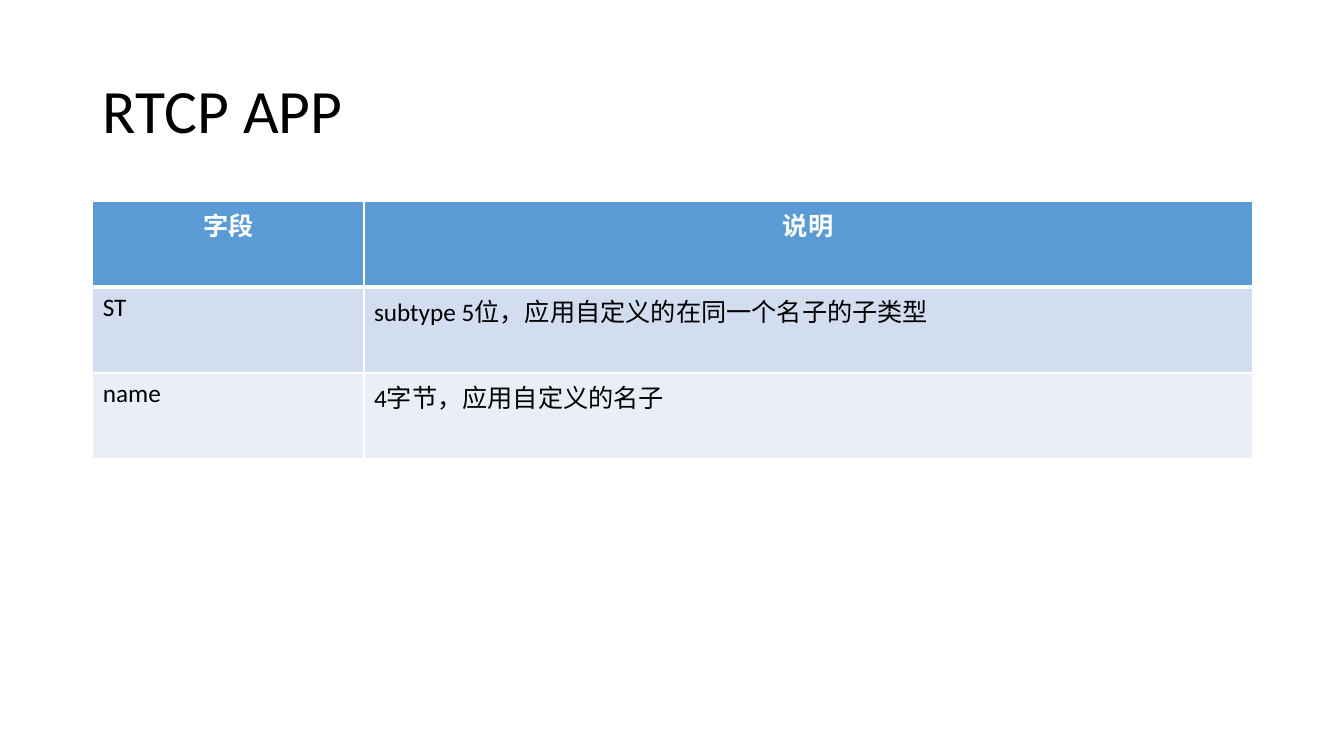
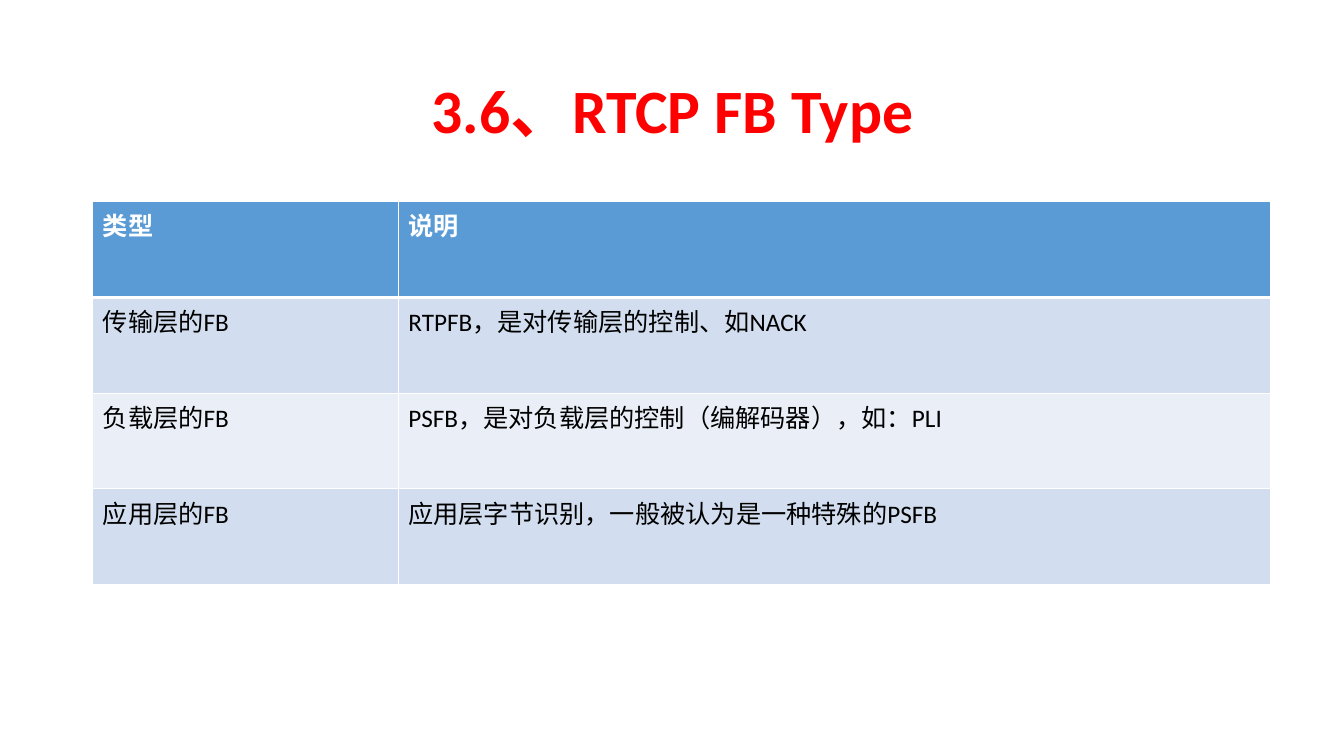
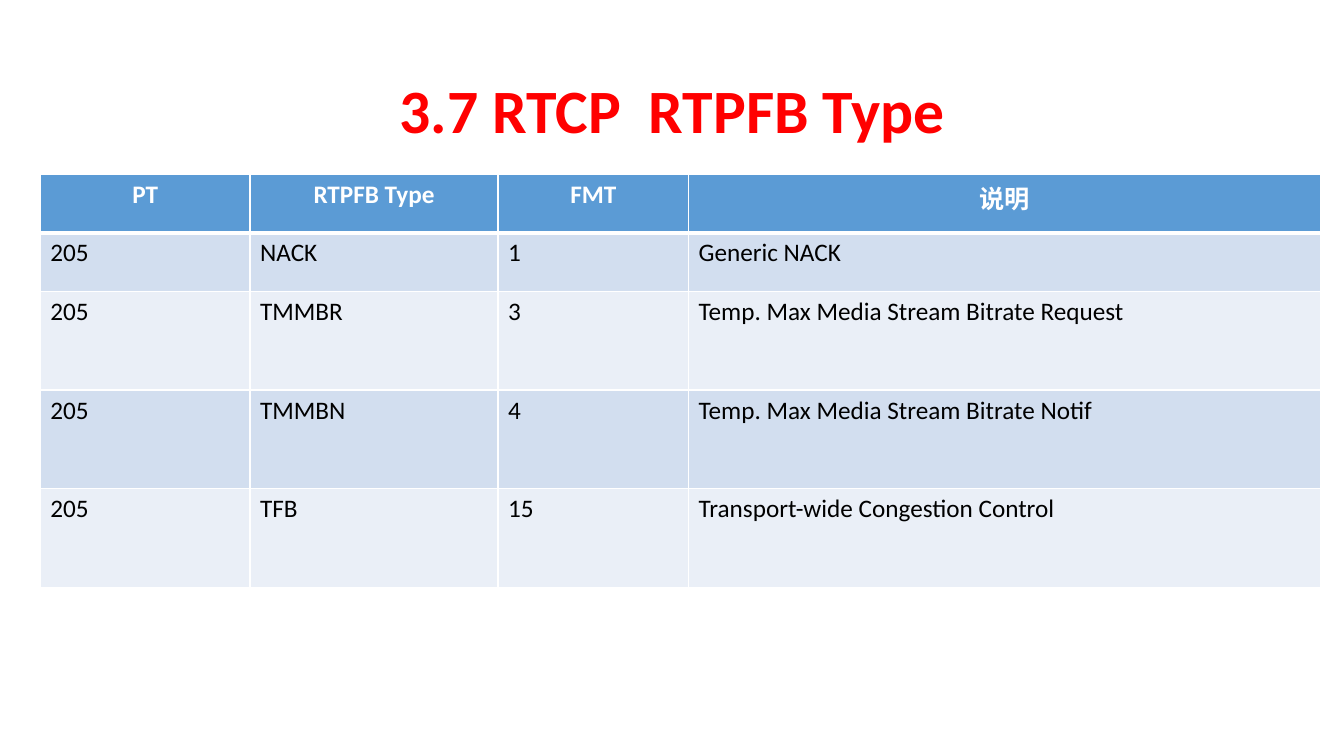
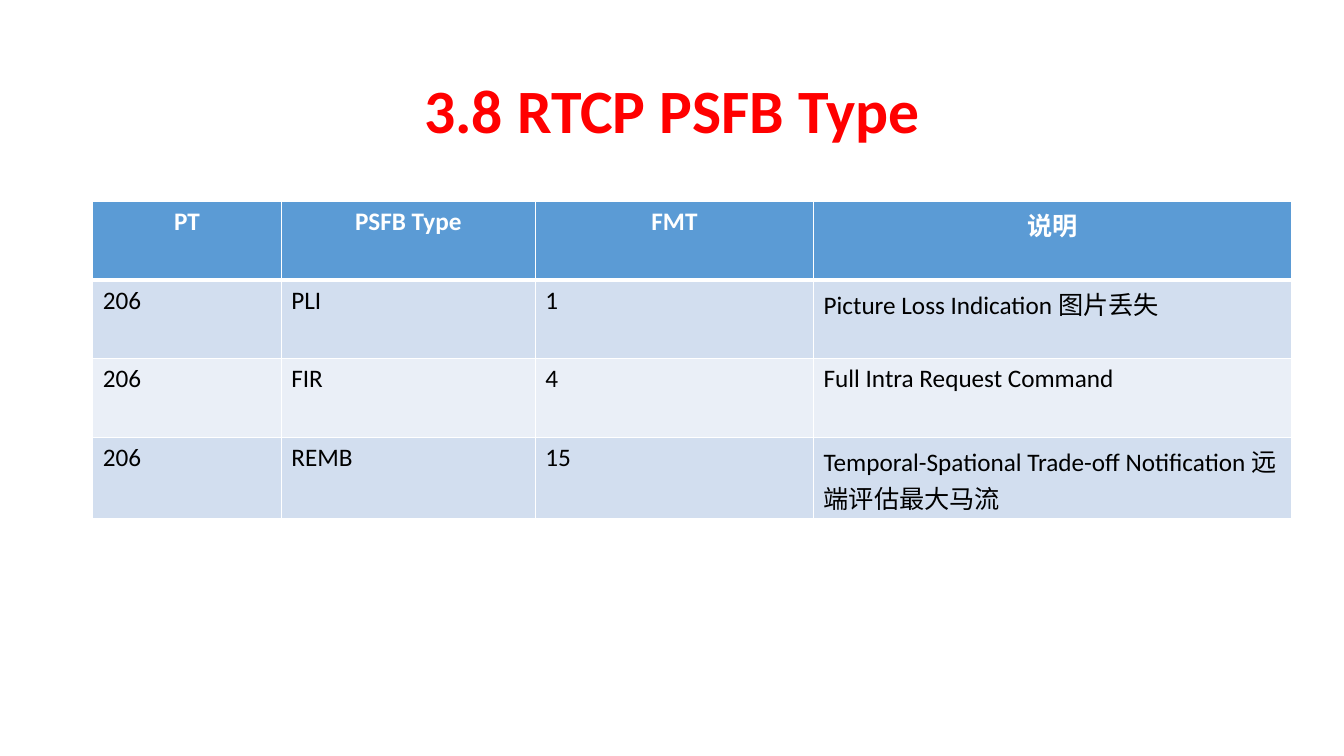
"""Build four slides of tables on RTCP packet and feedback types."""
from dataclasses import dataclass

from lxml import etree
from pptx import Presentation
from pptx.dml.color import RGBColor
from pptx.enum import lang, text
from pptx.oxml import ns
from pptx.util import Inches, Pt

WHITE = RGBColor(0xFF, 0xFF, 0xFF)
BLACK = RGBColor(0x00, 0x00, 0x00)
RED = RGBColor(0xFF, 0x00, 0x00)
HEADER_BLUE = RGBColor(0x5B, 0x9B, 0xD5)
BANDS = (RGBColor(0xEA, 0xEF, 0xF7), RGBColor(0xD2, 0xDE, 0xEF))
FONT = "Calibri"
TITLE_ONLY = 5
LEFT, CENTER = text.PP_ALIGN.LEFT, text.PP_ALIGN.CENTER


@dataclass(frozen=True)
class TablePage:
    title: str
    widths: tuple[float, ...]
    heights: tuple[float, ...]
    rows: tuple[tuple[str, ...], ...]
    left: float = 0.92
    top: float = 2.0
    section_title: bool = True
    header_align: text.PP_ALIGN = CENTER


PAGES = (
    TablePage(
        "RTCP APP", (2.69, 8.81), (0.85,) * 3,
        (("字段", "说明"),
         ("ST", "subtype 5位，应用自定义的在同一个名子的子类型"),
         ("name", "4字节，应用自定义的名子")),
        section_title=False,
    ),
    TablePage(
        "3.6、RTCP FB Type", (3.03, 8.65), (0.95,) * 4,
        (("类型", "说明"),
         ("传输层的FB", "RTPFB，是对传输层的控制、如NACK"),
         ("负载层的FB", "PSFB，是对负载层的控制（编解码器），如：PLI"),
         ("应用层的FB", "应用层字节识别，一般被认为是一种特殊的PSFB")),
        header_align=LEFT,
    ),
    TablePage(
        "3.7 RTCP  RTPFB Type", (2.08, 2.46, 1.89, 6.27), (0.58,) * 2 + (0.98,) * 3,
        (("PT", "RTPFB Type", "FMT", "说明"),
         ("205", "NACK", "1", "Generic NACK"),
         ("205", "TMMBR", "3", "Temp. Max Media Stream Bitrate Request"),
         ("205", "TMMBN", "4", "Temp. Max Media Stream Bitrate Notif"),
         ("205", "TFB", "15", "Transport-wide Congestion Control")),
        left=0.4, top=1.73,
    ),
    TablePage(
        "3.8 RTCP PSFB Type", (1.87, 2.52, 2.76, 4.74), (0.78,) * 3 + (0.81,),
        (("PT", "PSFB Type", "FMT", "说明"),
         ("206", "PLI", "1", "Picture Loss Indication 图片丢失"),
         ("206", "FIR", "4", "Full Intra Request Command"),
         ("206", "REMB", "15", "Temporal-Spational Trade-off Notification 远端评估最大马流")),
    ),
)


def write(frame, content: str, size: int, color: RGBColor, bold: bool, align: text.PP_ALIGN):
    """Fill a text frame with one formatted paragraph and return it."""
    frame.text = content
    para = frame.paragraphs[0]
    para.alignment = align
    for span in para.runs:
        font = span.font
        font.name, font.size, font.bold = FONT, Pt(size), bold
        font.color.rgb = color
        font.language_id = lang.MSO_LANGUAGE_ID.SIMPLIFIED_CHINESE
    return para


def add_title(slide, page: TablePage) -> None:
    """Place and style the slide title."""
    box = slide.shapes.title
    box.left, box.top = Inches(0.92), Inches(0.4)
    box.width, box.height = Inches(11.5), Inches(1.45)
    frame = box.text_frame
    frame.vertical_anchor = text.MSO_ANCHOR.MIDDLE
    color, align = (RED, CENTER) if page.section_title else (BLACK, LEFT)
    para = write(frame, page.title, 44, color, page.section_title, align)
    para.line_spacing = 0.9


def set_borders(cell, top: int, bottom: int) -> None:
    """Draw white borders, given the top and bottom widths in points."""
    properties = cell._tc.get_or_add_tcPr()
    for side, width in (("L", 1), ("R", 1), ("T", top), ("B", bottom)):
        line = etree.SubElement(properties, ns.qn(f"a:ln{side}"), w=str(Pt(width)))
        fill = etree.SubElement(line, ns.qn("a:solidFill"))
        etree.SubElement(fill, ns.qn("a:srgbClr"), val=str(WHITE))


def add_table(slide, page: TablePage) -> None:
    """Add the table with its header row and banded body rows."""
    table = slide.shapes.add_table(
        len(page.rows), len(page.widths), Inches(page.left), Inches(page.top),
        Inches(sum(page.widths)), Inches(sum(page.heights)),
    ).table
    for column, width in zip(table.columns, page.widths):
        column.width = Inches(width)
    for index, (row, height, labels) in enumerate(zip(table.rows, page.heights, page.rows)):
        row.height = Inches(height)
        header = index == 0
        for cell, label in zip(row.cells, labels):
            set_borders(cell, top=3 if index == 1 else 1, bottom=3 if header else 1)
            cell.fill.solid()
            cell.fill.fore_color.rgb = HEADER_BLUE if header else BANDS[index % 2]
            write(cell.text_frame, label, 18, WHITE if header else BLACK, header,
                  page.header_align if header else LEFT)


def main() -> None:
    """Build and save the deck."""
    deck = Presentation()
    deck.slide_width, deck.slide_height = Inches(13.33), Inches(7.5)
    for page in PAGES:
        slide = deck.slides.add_slide(deck.slide_layouts[TITLE_ONLY])
        add_title(slide, page)
        add_table(slide, page)
    deck.save("out.pptx")


if __name__ == "__main__":
    main()
